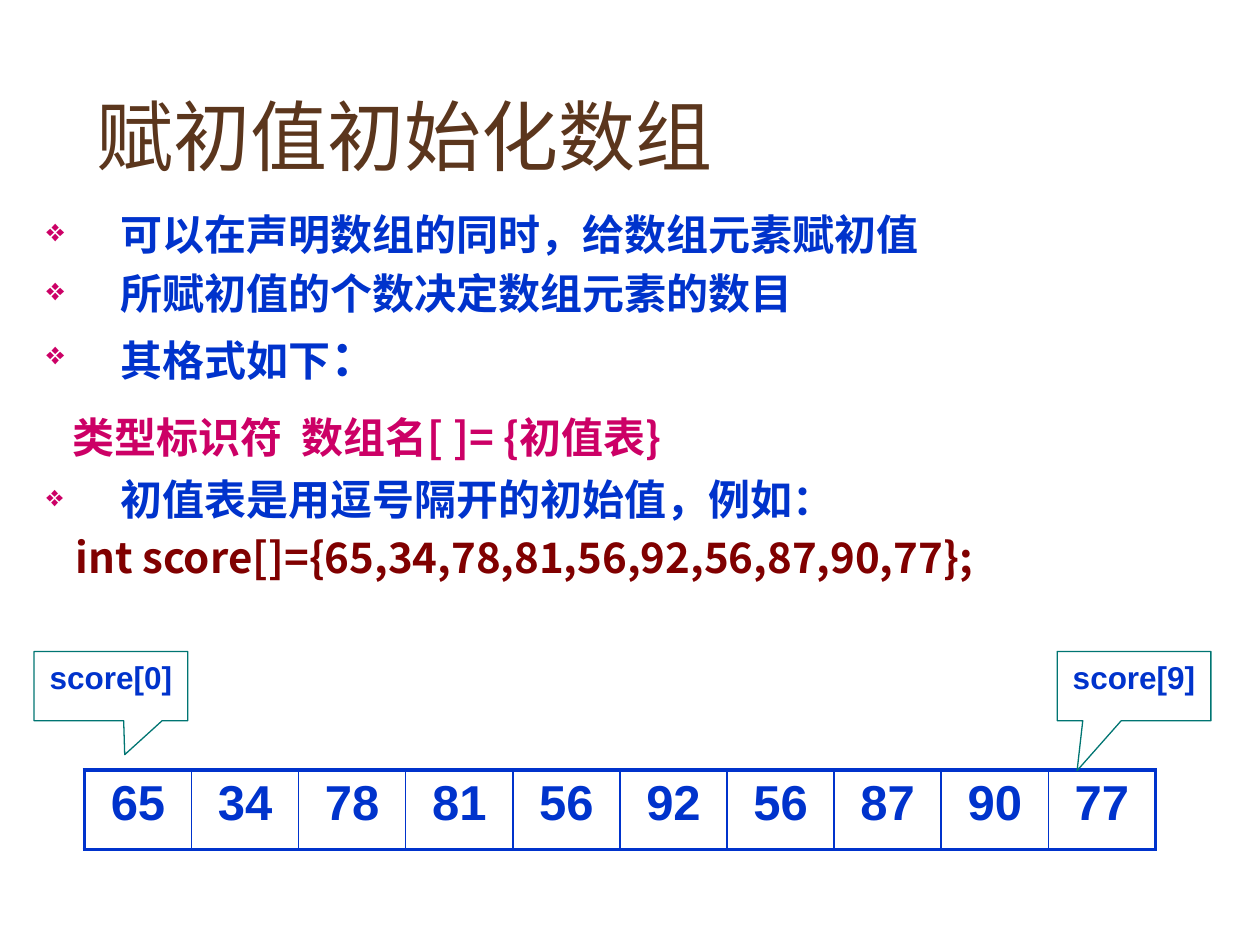
from dataclasses import dataclass

from lxml import etree
from pptx import Presentation
from pptx import util as u
from pptx.dml.color import RGBColor
from pptx.enum import shapes, text
from pptx.oxml import ns
from pptx.slide import Slide

BLUE = RGBColor(0x00, 0x33, 0xCC)
PINK = RGBColor(0xCC, 0x00, 0x66)
BROWN = RGBColor(0x5B, 0x36, 0x1D)
MAROON = RGBColor(0x80, 0x00, 0x00)
TEAL = RGBColor(0x00, 0x75, 0x72)
WHITE = RGBColor(0xFF, 0xFF, 0xFF)

SCORES = [65, 34, 78, 81, 56, 92, 56, 87, 90, 77]


def add_xml(parent, tag, **attributes):
    return etree.SubElement(parent, ns.qn(tag), attributes)


@dataclass
class ArraySlide:
    slide: Slide
    latin: str = "Arial"
    chinese: str = "Noto Sans CJK SC"

    def style(self, para, size, color, bold=True, font=None):
        for span in para.runs:
            span.font.name = font or self.latin
            span.font.size = u.Pt(size)
            span.font.bold = bold
            span.font.color.rgb = color
            if font:
                add_xml(span.font._element, "a:ea", typeface=font)

    def text_box(self, left, top, width, height):
        box = self.slide.shapes.add_textbox(*map(u.Inches, (left, top, width, height)))
        box.text_frame.word_wrap = True
        return box.text_frame

    def title(self, words):
        frame = self.text_box(0.67, 0.6, 5.52, 0.94)
        frame.vertical_anchor = text.MSO_ANCHOR.MIDDLE
        frame.text = words
        self.style(frame.paragraphs[0], 44, BROWN, bold=False)

    def body(self, lines):
        frame = self.text_box(0.27, 1.62, 9.57, 3.47)
        frame.text = "\n".join(words for words, *_ in lines)
        for para, (_, color, gap, indent, bullet_size) in zip(frame.paragraphs, lines):
            para.alignment = text.PP_ALIGN.JUSTIFY
            para.line_spacing = u.Pt(28)
            para.space_before = u.Pt(gap)
            self.style(para, 24, color, font=self.chinese)
            properties = para._p.get_or_add_pPr()
            properties.set("marL", str(u.Inches(indent)))
            if bullet_size:
                properties.set("indent", str(-u.Inches(indent)))
                bullet_color = add_xml(properties, "a:buClr")
                add_xml(bullet_color, "a:srgbClr", val=str(PINK))
                add_xml(properties, "a:buSzPct", val=str(bullet_size * 1000))
                add_xml(properties, "a:buChar", char="❖")
        return frame

    def border(self, cell, side, width):
        line = add_xml(cell._tc.get_or_add_tcPr(), f"a:ln{side}", w=str(u.Pt(width)))
        add_xml(add_xml(line, "a:solidFill"), "a:srgbClr", val=str(BLUE))

    def array(self, values):
        last = len(values) - 1
        frame = self.slide.shapes.add_table(
            1, len(values), u.Inches(0.67), u.Inches(6.11), u.Inches(8.5), u.Inches(0.63))
        table = frame.table
        table.first_row = table.horz_banding = False
        for index, (cell, value) in enumerate(zip(table.iter_cells(), values)):
            cell.text = str(value)
            para = cell.text_frame.paragraphs[0]
            para.alignment = text.PP_ALIGN.CENTER
            self.style(para, 28, BLUE)
            self.border(cell, "L", 2.25 if index == 0 else 1)
            self.border(cell, "R", 2.25 if index == last else 1)
            self.border(cell, "T", 2.25)
            self.border(cell, "B", 2.25)
            cell.fill.background()

    def callout(self, words, left, pointer):
        box = self.slide.shapes.add_shape(
            shapes.MSO_SHAPE.RECTANGULAR_CALLOUT,
            u.Inches(left), u.Inches(5.17), u.Inches(1.22), u.Inches(0.55))
        box.adjustments[0], box.adjustments[1] = pointer
        box.shadow.inherit = False
        box.fill.background()
        box.line.color.rgb = TEAL
        box.line.width = u.Pt(0.75)
        frame = box.text_frame
        frame.vertical_anchor = text.MSO_ANCHOR.TOP
        frame.text = words
        frame.paragraphs[0].alignment = text.PP_ALIGN.CENTER
        self.style(frame.paragraphs[0], 18, BLUE)


def main():
    deck = Presentation()
    deck.slide_width, deck.slide_height = u.Inches(10), u.Inches(7.5)
    page = ArraySlide(deck.slides.add_slide(deck.slide_layouts[6]))
    page.slide.background.fill.solid()
    page.slide.background.fill.fore_color.rgb = WHITE

    page.title("赋初值初始化数组")
    body = page.body([
        ("可以在声明数组的同时，给数组元素赋初值", BLUE, 3.2, 0.59, 75),
        ("所赋初值的个数决定数组元素的数目", BLUE, 5.7, 0.59, 75),
        ("其格式如下", BLUE, 10.9, 0.59, 75),
        ("类型标识符  数组名[ ]= {初值表}", PINK, 15.4, 0.21, None),
        ("初值表是用逗号隔开的初始值，例如：", BLUE, 7.4, 0.59, 70),
        ("int score[]={65,34,78,81,56,92,56,87,90,77};", MAROON, 5.1, 0.23, None),
    ])
    format_line = body.paragraphs[2]
    colon = format_line.add_run()
    colon.text = "："
    page.style(format_line, 24, BLUE, font=page.chinese)
    colon.font.size = u.Pt(28)

    page.array(SCORES)
    page.callout("score[0]", 0.27, (0.09, 0.99))
    page.callout("score[9]", 8.39, (-0.37, 1.22))
    deck.save("out.pptx")


if __name__ == "__main__":
    main()
